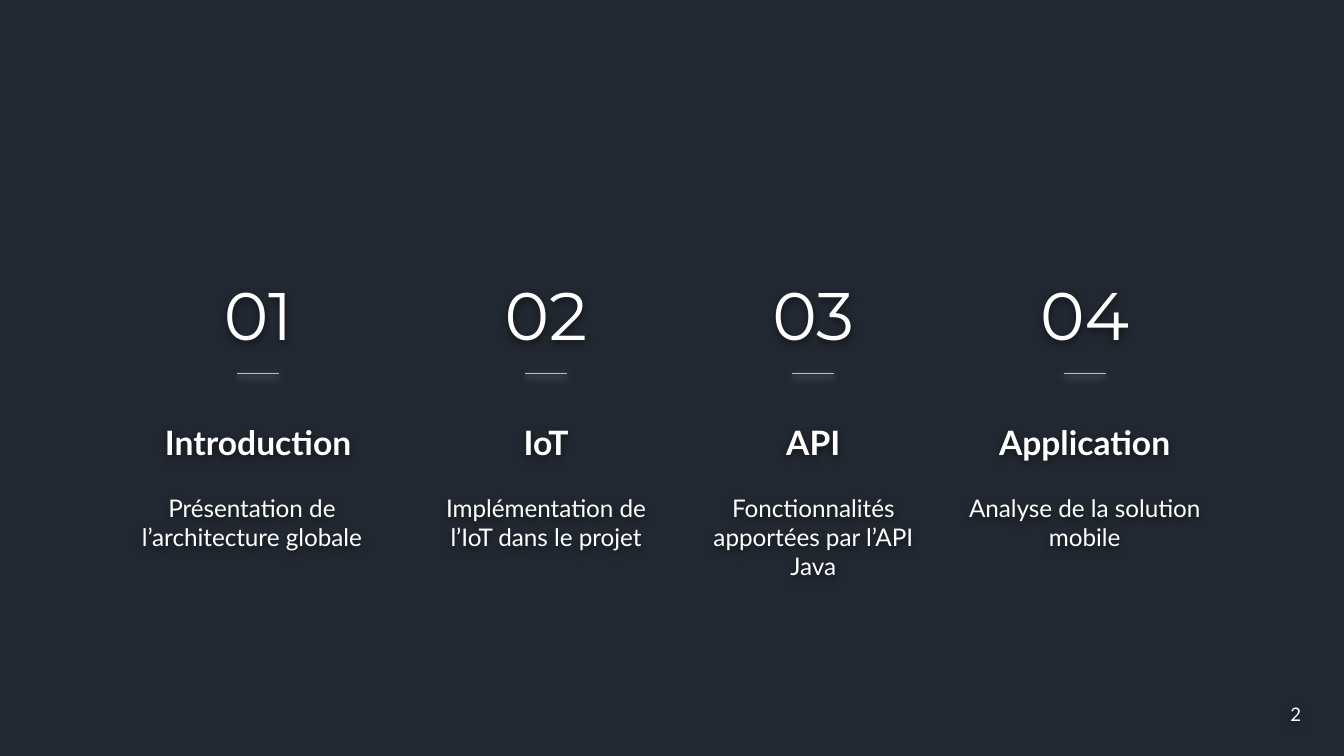
from pptx import Presentation
from pptx.dml.color import RGBColor
from pptx.enum.shapes import MSO_CONNECTOR as Link
from pptx.enum.text import MSO_ANCHOR as Anchor, PP_ALIGN as Align
from pptx.oxml import parse_xml
from pptx.oxml.ns import nsdecls
from pptx.util import Cm, Pt

WHITE, BLACK, MINT, NAVY = "FFFFFF", "000000", "77DFC6", "222831"

# Centre, number, heading, text, shift of the text from the centre
TOPICS = [
    (4.88, "01", "Introduction", "Présentation de l’architecture globale", -0.12),
    (10.32, "02", "IoT", "Implémentation de l’IoT dans le projet", 0),
    (15.37, "03", "API", "Fonctionnalités apportées par l’API Java", 0),
    (20.5, "04", "Application", "Analyse de la solution mobile", 0),
]


def paint(color, value):
    """Set a colour format from a hex string."""
    color.rgb = RGBColor.from_string(value)


def shade(shape, value):
    """Give a shape a soft shadow that falls straight down."""
    shape._element.spPr.append(parse_xml(
        f'<a:effectLst {nsdecls("a")}>'
        '<a:outerShdw blurRad="57150" dist="19050" dir="5400000" algn="bl" rotWithShape="0">'
        f'<a:srgbClr val="{value}"><a:alpha val="50000"/></a:srgbClr>'
        '</a:outerShdw></a:effectLst>'))


def add_text(shapes, text, mid, top, width, height, size,
             font="Lato", bold=False, anchor=Anchor.TOP):
    """Add a centred white text box around a middle line."""
    box = shapes.add_textbox(Cm(mid - width / 2), Cm(top), Cm(width), Cm(height))
    frame = box.text_frame
    frame.word_wrap = True
    frame.vertical_anchor = anchor
    frame.margin_left = frame.margin_right = Cm(0.25)
    frame.margin_top = frame.margin_bottom = Cm(0.25)
    frame.text = text
    para = frame.paragraphs[0]
    para.alignment = Align.CENTER
    face = para.runs[0].font
    face.name, face.size, face.bold = font, Pt(size), bold
    paint(face.color, WHITE)
    shade(box, BLACK)


def add_rule(shapes, mid, top, width):
    """Add a short mint rule around a middle line."""
    rule = shapes.add_connector(Link.STRAIGHT, Cm(mid - width / 2), Cm(top),
                                Cm(mid + width / 2), Cm(top))
    paint(rule.line.color, MINT)
    rule.line.width = Pt(0.75)
    shade(rule, WHITE)


def add_topic(slide, mid, number, head, text, shift):
    """Add one grouped column of the agenda."""
    shapes = slide.shapes.add_group_shape().shapes
    add_text(shapes, number, mid, 4.93, 4.11, 2.01, 36, "Montserrat", anchor=Anchor.BOTTOM)
    add_rule(shapes, mid, 7.06, 0.79)
    add_text(shapes, head, mid, 7.72, 5.74, 1.65, 18, bold=True)
    add_text(shapes, text, mid + shift, 9.07, 5.16, 1.65, 13)


def main():
    """Build the agenda slide and save it."""
    deck = Presentation()
    deck.slide_width, deck.slide_height = Cm(25.4), Cm(14.29)
    slide = deck.slides.add_slide(deck.slide_layouts[6])
    fill = slide.background.fill
    fill.solid()
    paint(fill.fore_color, NAVY)
    add_text(slide.shapes, "2", 24.49, 12.95, 1.27, 1.09, 10, anchor=Anchor.MIDDLE)
    for topic in TOPICS:
        add_topic(slide, *topic)
    deck.save("out.pptx")


if __name__ == "__main__":
    main()
